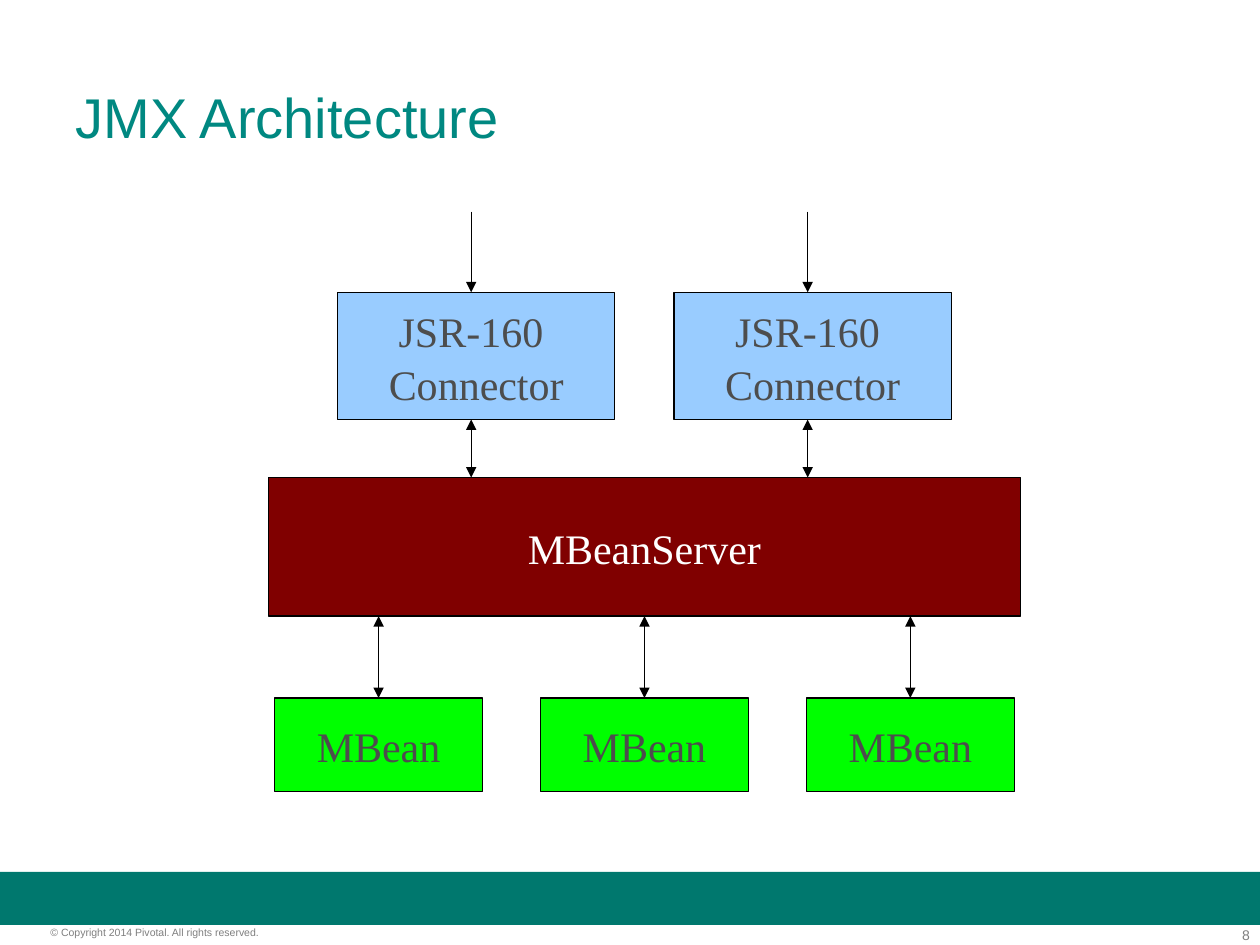
from dataclasses import dataclass

from lxml.etree import SubElement
from pptx import Presentation
from pptx.dml.color import RGBColor
from pptx.enum.shapes import MSO_CONNECTOR, MSO_SHAPE
from pptx.enum.text import MSO_ANCHOR, PP_ALIGN
from pptx.oxml.ns import qn
from pptx.util import Inches, Pt


@dataclass(frozen=True)
class Theme:
    """Colours, fonts and type sizes of the deck."""
    title: str = "008881"
    band: str = "00786E"
    footer: str = "7F7F7F"
    ink: str = "4D4D4D"
    white: str = "FFFFFF"
    line: str = "000000"
    server: str = "800000"
    bean: str = "00FF00"
    connector: str = "99CCFF"
    sans: str = "Arial"
    serif: str = "Times New Roman"
    title_size: float = 32
    box_size: float = 24
    number_size: float = 8
    copyright_size: float = 6
    line_width: float = 0.75
    box_spacing: float = 1.05


class Page:
    """Draws on one slide with a grid of 100 columns by 75 rows."""

    def __init__(self, deck, theme):
        """Add a blank slide to the deck."""
        self.theme = theme
        self.cell_width = deck.slide_width / 100
        self.cell_height = deck.slide_height / 75
        self.shapes = deck.slides.add_slide(deck.slide_layouts[6]).shapes

    def place(self, column, row):
        """Turn a grid position or size into slide lengths."""
        return round(column * self.cell_width), round(row * self.cell_height)

    def set_text(self, shape, text, font, size, color, align, spacing=None):
        """Set the text of a shape and format its paragraphs."""
        frame = shape.text_frame
        frame.text = text
        frame.word_wrap = True
        for para in frame.paragraphs:
            para.alignment = align
            if spacing:
                para.line_spacing = spacing
            for span in para.runs:
                span.font.name = font
                span.font.size = Pt(size)
                span.font.color.rgb = RGBColor.from_string(color)
        return frame

    def label(self, column, row, width, height, text, size, color,
              align=PP_ALIGN.LEFT, inset=True):
        """Add a text box in the sans font."""
        box = self.shapes.add_textbox(*self.place(column, row), *self.place(width, height))
        frame = self.set_text(box, text, self.theme.sans, size, color, align)
        if inset:
            frame.vertical_anchor = MSO_ANCHOR.MIDDLE
        else:
            frame.margin_left = frame.margin_right = 0
            frame.margin_top = frame.margin_bottom = 0

    def rectangle(self, column, row, width, height, fill):
        """Add a plain filled rectangle."""
        shape = self.shapes.add_shape(
            MSO_SHAPE.RECTANGLE, *self.place(column, row), *self.place(width, height))
        shape.shadow.inherit = False
        shape.fill.solid()
        shape.fill.fore_color.rgb = RGBColor.from_string(fill)
        shape.line.fill.background()
        return shape

    def component(self, center, row, width, height, text, fill, color):
        """Add an outlined box with centred text around a column."""
        theme = self.theme
        box = self.rectangle(center - width / 2, row, width, height, fill)
        box.line.color.rgb = RGBColor.from_string(theme.line)
        box.line.width = Pt(theme.line_width)
        frame = self.set_text(box, text, theme.serif, theme.box_size, color,
                              PP_ALIGN.CENTER, theme.box_spacing)
        frame.vertical_anchor = MSO_ANCHOR.MIDDLE
        return box

    def arrow(self, column, top, bottom, both=True):
        """Add a vertical arrow with a head at the bottom or at both ends."""
        line = self.shapes.add_connector(
            MSO_CONNECTOR.STRAIGHT, *self.place(column, top), *self.place(column, bottom))
        line.line.color.rgb = RGBColor.from_string(self.theme.line)
        line.line.width = Pt(self.theme.line_width)
        properties = line._element.spPr
        outline = properties.find(qn("a:ln"))
        for end in ("headEnd", "tailEnd") if both else ("tailEnd",):
            SubElement(outline, qn(f"a:{end}"), type="triangle")
        SubElement(properties, qn("a:effectLst"))
        return line


def main():
    """Build the architecture slide."""
    theme = Theme()
    deck = Presentation()
    deck.slide_width, deck.slide_height = Inches(10), Inches(7.5)
    page = Page(deck, theme)

    page.rectangle(0, 69.2, 100, 4.2, theme.band)
    page.label(93.4, 73.5, 5.8, 1.3, "8", theme.number_size, theme.footer,
               PP_ALIGN.RIGHT, inset=False)
    page.label(4, 73.5, 24.9, 1, "© Copyright 2014 Pivotal. All rights reserved.",
               theme.copyright_size, theme.footer, inset=False)
    page.label(5, 3, 90, 12.5, "JMX Architecture", theme.title_size, theme.title)

    middle = 51.15
    connector_top, connector_height = 23.2, 10.1
    server_top, server_height = 37.9, 11
    bean_top, bean_height = 55.4, 7.4
    connector_bottom = connector_top + connector_height
    server_bottom = server_top + server_height

    server = page.component(middle, server_top, 59.7, server_height,
                            "MBeanServer", theme.server, theme.white)

    for step in (-1, 0, 1):
        center = middle + step * 21.1
        bean = page.component(center, bean_top, 16.5, bean_height,
                              "MBean", theme.bean, theme.ink)
        link = page.arrow(center, server_bottom, bean_top)
        link.end_connect(bean, 0)
        if step == 0:
            link.begin_connect(server, 2)

    for side in (-1, 1):
        center = middle + side * 13.35
        page.component(center, connector_top, 22, connector_height,
                       "JSR-160 \nConnector", theme.connector, theme.ink)
        arrow_column = center - 0.4
        page.arrow(arrow_column, connector_bottom, server_top)
        page.arrow(arrow_column, 16.8, connector_top, both=False)

    deck.save("out.pptx")


if __name__ == "__main__":
    main()
